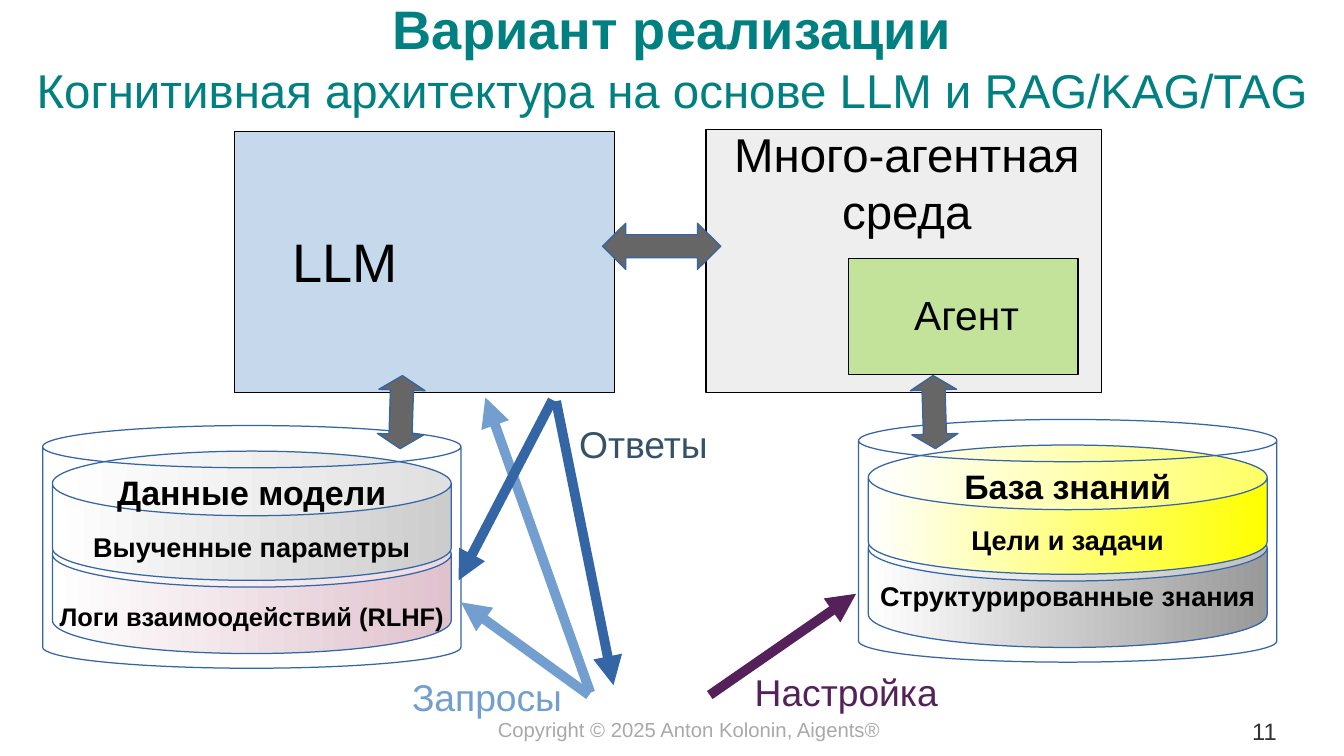
from dataclasses import dataclass

from lxml import etree
from pptx import Presentation
from pptx.dml.color import RGBColor
from pptx.enum.shapes import MSO_CONNECTOR, MSO_SHAPE
from pptx.enum.text import MSO_ANCHOR, MSO_AUTO_SIZE, PP_ALIGN
from pptx.oxml.ns import qn
from pptx.util import Inches, Pt

RECTANGLE = MSO_SHAPE.RECTANGLE
CAN = MSO_SHAPE.CAN
DOUBLE_ARROW = MSO_SHAPE.LEFT_RIGHT_ARROW
STRAIGHT = MSO_CONNECTOR.STRAIGHT
TOP, MIDDLE = MSO_ANCHOR.TOP, MSO_ANCHOR.MIDDLE
LEFT, CENTER, RIGHT = PP_ALIGN.LEFT, PP_ALIGN.CENTER, PP_ALIGN.RIGHT
NO_AUTOFIT = MSO_AUTO_SIZE.NONE


@dataclass(frozen=True)
class Theme:
    font: str = "Arial"
    title: str = "008080"
    black: str = "000000"
    white: str = "FFFFFF"
    model: str = "729FCF"
    environment: str = "EEEEEE"
    agent: str = "81D41A"
    outline: str = "3465A4"
    exchange: str = "666666"
    requests: str = "729FCF"
    answers: str = "3465A4"
    answers_label: str = "355269"
    tuning: str = "55215B"
    copyright: str = "A9A9A9"
    page_number: str = "333333"
    parameters: str = "CCCCCC"
    logs: str = "E0C2CD"
    goals: str = "FFFF00"
    knowledge: str = "999999"
    title_size: int = 32
    subtitle_size: int = 28
    agent_size: int = 24
    flow_size: int = 22
    store_size: int = 20
    layer_size: int = 16
    logs_size: int = 15
    page_size: int = 14
    copyright_size: int = 12


THEME = Theme()


def color(value):
    return RGBColor.from_string(value)


def box(left, top, width, height):
    return Inches(left), Inches(top), Inches(width), Inches(height)


def style(paragraph, size, ink, bold=False, align=LEFT):
    paragraph.alignment = align
    font = paragraph.font
    font.name = THEME.font
    font.size = Pt(size)
    font.bold = bold
    font.color.rgb = color(ink)


def set_frame(frame, anchor, margins, wrap=True):
    frame.auto_size = NO_AUTOFIT
    frame.word_wrap = wrap
    frame.vertical_anchor = anchor
    (frame.margin_left, frame.margin_top,
     frame.margin_right, frame.margin_bottom) = map(Inches, margins)


def add_title(slide, title, subtitle):
    shape = slide.shapes.title
    shape.left, shape.top, shape.width, shape.height = box(0, -0.06, 11.02, 1.05)
    frame = shape.text_frame
    set_frame(frame, MIDDLE, (0.1, 0.05, 0.1, 0.05), wrap=False)
    frame.text = f"{title}\n{subtitle}"
    style(frame.paragraphs[0], THEME.title_size, THEME.title, True, CENTER)
    style(frame.paragraphs[1], THEME.subtitle_size, THEME.title, False, CENTER)


def add_label(slide, place, text, size, ink, align=LEFT, anchor=TOP,
              margins=(0.1, 0.05, 0.1, 0.05)):
    frame = slide.shapes.add_textbox(*box(*place)).text_frame
    set_frame(frame, anchor, margins)
    frame.text = text
    for paragraph in frame.paragraphs:
        style(paragraph, size, ink, align=align)


def add_shape(slide, kind, place, line, width=0):
    shape = slide.shapes.add_shape(kind, *box(*place))
    shape.shadow.inherit = False
    shape.line.color.rgb = color(line)
    shape.line.width = Pt(width)
    return shape


def add_block(slide, place, fill, opacity=100):
    shape = add_shape(slide, RECTANGLE, place, THEME.black)
    shape.fill.solid()
    shape.fill.fore_color.rgb = color(fill)
    if opacity < 100:
        fill_color = shape.fill._xPr.find(qn("a:solidFill"))[0]
        etree.SubElement(fill_color, qn("a:alpha"), val=str(opacity * 1000))


def add_can(slide, place, curve, text, size, top_margin, tint=None):
    shape = add_shape(slide, CAN, place, THEME.outline, 0.75)
    shape.adjustments[0] = curve
    if tint:
        shape.fill.gradient()
        shape.fill.gradient_angle = 0
        for stop, value, position in zip(
                shape.fill.gradient_stops, (THEME.white, tint), (0, 1)):
            stop.color.rgb = color(value)
            stop.position = position
    else:
        shape.fill.background()
    frame = shape.text_frame
    set_frame(frame, TOP, (0.1, top_margin, 0.1, 0), wrap=False)
    frame.text = text
    style(frame.paragraphs[0], size, THEME.black, True, CENTER)
    frame.paragraphs[0].line_spacing = 0.93


def add_store(slide, left, top, name, upper, lower):
    layers = ((lower, 0.78, 1.09), (upper, 0.21, 1.06))
    for (text, size, tint, margin), offset, height in layers:
        add_can(slide, (left + 0.08, top + offset, 3.27, height), 0.5,
                text, size, margin, tint)
    add_can(slide, (left, top, 3.43, 1.99), 0.174, name, THEME.store_size, 0.06)


def add_exchange(slide, place, head, rotation=0):
    shape = add_shape(slide, DOUBLE_ARROW, place, THEME.outline)
    shape.fill.solid()
    shape.fill.fore_color.rgb = color(THEME.exchange)
    shape.adjustments[0] = 0.5
    shape.adjustments[1] = head
    shape.rotation = rotation


def add_flow(slide, start, end, ink):
    connector = slide.shapes.add_connector(STRAIGHT, *map(Inches, start + end))
    connector.line.color.rgb = color(ink)
    connector.line.width = Pt(5.75)
    etree.SubElement(connector.line._get_or_add_ln(), qn("a:tailEnd"), type="triangle")
    etree.SubElement(connector._element.spPr, qn("a:effectLst"))


def main():
    presentation = Presentation()
    presentation.slide_width = Inches(11.02)
    presentation.slide_height = Inches(6.2)
    slide = presentation.slides.add_slide(presentation.slide_layouts[5])

    add_title(slide, "Вариант реализации",
              "Когнитивная архитектура на основе LLM и RAG/KAG/TAG")

    add_block(slide, (1.92, 1.08, 3.12, 2.14), THEME.model, 40)
    add_label(slide, (2.3, 1.07, 2.4, 2.14), "LLM", THEME.title_size,
              THEME.black, anchor=MIDDLE)
    add_block(slide, (5.79, 1.06, 3.24, 2.16), THEME.environment)
    add_label(slide, (5.92, 1.01, 3.03, 0.97), "Много-агентная\nсреда",
              THEME.subtitle_size, THEME.black, CENTER, MIDDLE, (0, 0.05, 0, 0.05))
    add_block(slide, (6.96, 2.12, 1.88, 0.95), THEME.agent, 40)
    add_label(slide, (7, 2.14, 1.85, 0.87), "Агент", THEME.agent_size,
              THEME.black, CENTER, MIDDLE)

    add_store(slide, 7.04, 3.44, "База знаний",
              ("Цели и задачи", THEME.layer_size, THEME.goals, 0.14),
              ("Структурированные знания", THEME.layer_size, THEME.knowledge, 0.01))
    add_store(slide, 0.35, 3.49, "Данные модели",
              ("Выученные параметры", THEME.layer_size, THEME.parameters, 0.14),
              ("Логи взаимоодействий (RLHF)", THEME.logs_size, THEME.logs, 0.14))

    add_exchange(slide, (4.94, 1.83, 0.97, 0.38), 0.504)
    add_exchange(slide, (2.99, 3.19, 0.6, 0.38), 0.312, 91.8)
    add_exchange(slide, (7.36, 3.19, 0.6, 0.38), 0.312, 88.2)

    for start, end, ink in (
            ((4.84, 5.68), (3.98, 3.26), THEME.requests),
            ((4.83, 5.7), (3.78, 4.94), THEME.requests),
            ((4.56, 3.29), (5.03, 5.62), THEME.answers),
            ((4.53, 3.28), (3.76, 4.76), THEME.answers),
            ((5.82, 5.7), (7.02, 4.87), THEME.tuning)):
        add_flow(slide, start, end, ink)

    for place, text, ink in (
            ((3.28, 5.48, 1.69, 0.46), "Запросы", THEME.requests),
            ((4.65, 3.41, 1.69, 0.56), "Ответы", THEME.answers_label),
            ((6.09, 5.44, 2.16, 0.44), "Настройка", THEME.tuning)):
        add_label(slide, place, text, THEME.flow_size, ink)

    add_label(slide, (3.12, 5.88, 5.06, 0.2), "Copyright © 2025 Anton Kolonin, Aigents®",
              THEME.copyright_size, THEME.copyright, CENTER, margins=(0, 0, 0, 0))
    add_label(slide, (9.65, 5.88, 0.82, 0.2), "11", THEME.page_size,
              THEME.page_number, RIGHT, margins=(0, 0, 0, 0))

    presentation.save("out.pptx")


if __name__ == "__main__":
    main()
